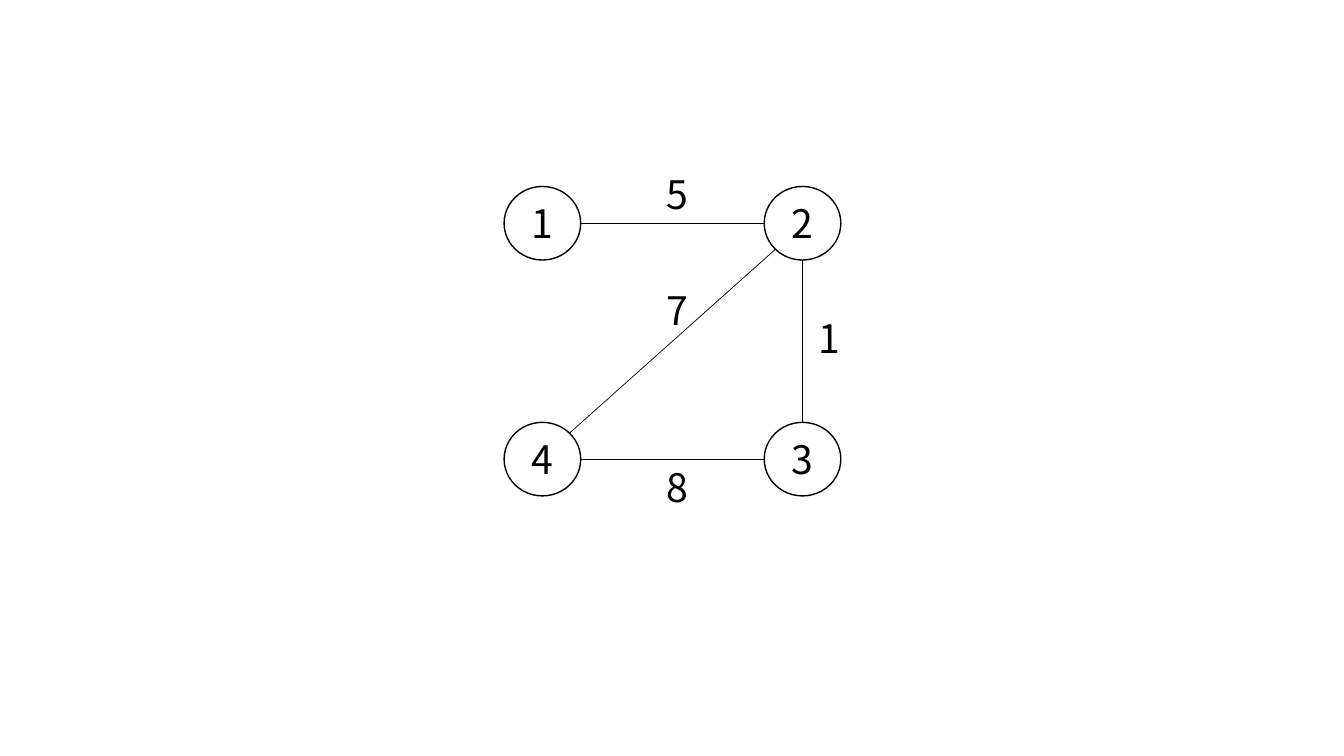
import math
from dataclasses import dataclass

import pptx
import pptx.dml.color
import pptx.enum.shapes
import pptx.enum.text
import pptx.oxml.ns
import pptx.util
from lxml import etree

Inches = pptx.util.Inches
Pt = pptx.util.Pt

BLACK = pptx.dml.color.RGBColor(0x00, 0x00, 0x00)
FONT = "Noto Sans CJK KR"
LEFT, TOP = 5.0, 1.85
COL_STEP, ROW_STEP = 2.58, 2.34
NODE_W, NODE_H = 0.76, 0.73
LABEL_W, LABEL_H = 0.42, 0.57


@dataclass(frozen=True)
class Node:
    name: str
    col: int
    row: int

    @property
    def left(self) -> float:
        return LEFT + self.col * COL_STEP

    @property
    def top(self) -> float:
        return TOP + self.row * ROW_STEP

    def rim(self, dx: int, dy: int) -> tuple[float, float]:
        length = math.hypot(dx, dy)
        return (self.left + NODE_W / 2 * (1 + dx / length),
                self.top + NODE_H / 2 * (1 + dy / length))


@dataclass(frozen=True)
class Edge:
    start: Node
    end: Node
    weight: str
    label_left: float
    label_top: float


NODE_1 = Node("1", 0, 0)
NODE_2 = Node("2", 1, 0)
NODE_3 = Node("3", 1, 1)
NODE_4 = Node("4", 0, 1)
NODES = (NODE_1, NODE_2, NODE_3, NODE_4)
EDGES = (
    Edge(NODE_1, NODE_2, "5", 6.51, 1.64),
    Edge(NODE_4, NODE_2, "7", 6.51, 2.79),
    Edge(NODE_2, NODE_3, "1", 8.02, 3.07),
    Edge(NODE_4, NODE_3, "8", 6.51, 4.55),
)


def set_text(tf, text: str) -> None:
    tf.text = text
    font = tf.paragraphs[0].runs[0].font
    font.name = FONT
    font.size = Pt(28)
    font.color.rgb = BLACK


def draw_line(s, edge: Edge) -> None:
    dx = edge.end.col - edge.start.col
    dy = edge.end.row - edge.start.row
    points = (*edge.start.rim(dx, dy), *edge.end.rim(-dx, -dy))
    line = s.shapes.add_connector(
        pptx.enum.shapes.MSO_CONNECTOR.STRAIGHT, *map(Inches, points))
    line.line.color.rgb = BLACK
    line.line.width = Pt(0.5)
    etree.SubElement(line._element.spPr, pptx.oxml.ns.qn("a:effectLst"))


def draw_node(s, node: Node) -> None:
    sp = s.shapes.add_shape(
        pptx.enum.shapes.MSO_SHAPE.OVAL,
        Inches(node.left), Inches(node.top), Inches(NODE_W), Inches(NODE_H))
    sp.shadow.inherit = False
    sp.fill.background()
    sp.line.color.rgb = BLACK
    sp.line.width = Pt(1)
    tf = sp.text_frame
    tf.vertical_anchor = pptx.enum.text.MSO_ANCHOR.MIDDLE
    set_text(tf, node.name)
    tf.paragraphs[0].alignment = pptx.enum.text.PP_ALIGN.CENTER


def draw_weight(s, edge: Edge) -> None:
    sp = s.shapes.add_textbox(
        Inches(edge.label_left), Inches(edge.label_top),
        Inches(LABEL_W), Inches(LABEL_H))
    tf = sp.text_frame
    tf.word_wrap = False
    tf.auto_size = pptx.enum.text.MSO_AUTO_SIZE.SHAPE_TO_FIT_TEXT
    set_text(tf, edge.weight)


def main() -> None:
    prs = pptx.Presentation()
    prs.slide_width = Inches(13.33)
    prs.slide_height = Inches(7.5)
    s = prs.slides.add_slide(prs.slide_layouts[6])
    for edge in EDGES:
        draw_line(s, edge)
    for node in NODES:
        draw_node(s, node)
    for edge in EDGES:
        draw_weight(s, edge)
    prs.save("out.pptx")


if __name__ == "__main__":
    main()
